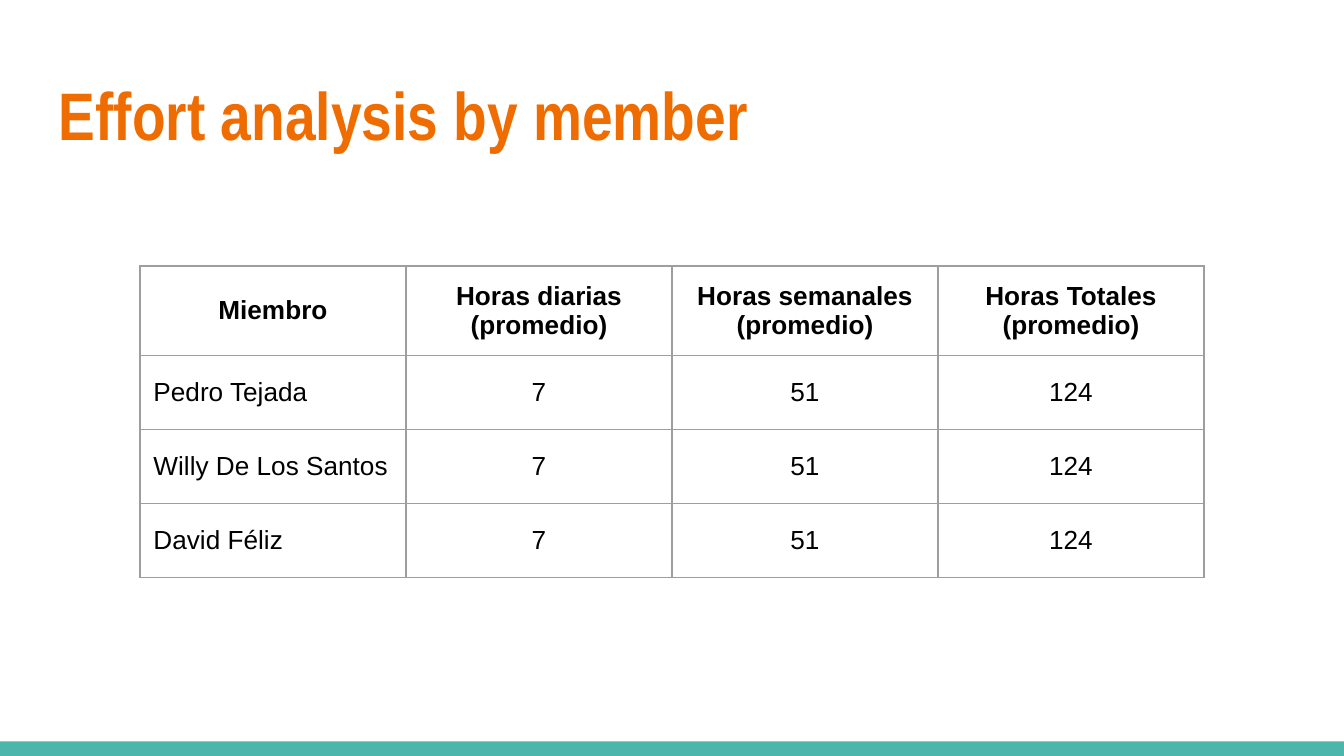
from pptx import Presentation
from pptx.dml.color import RGBColor
from pptx.enum.shapes import MSO_SHAPE
from pptx.enum.text import MSO_ANCHOR, PP_ALIGN
from pptx.oxml import parse_xml
from pptx.oxml.ns import nsdecls
from pptx.util import Pt

TEAL = RGBColor(0x4D, 0xB6, 0xAC)
ORANGE = RGBColor(0xEF, 0x6C, 0x00)
BLACK = RGBColor(0, 0, 0)
GRAY = RGBColor(0x9E, 0x9E, 0x9E)
INSETS = {f"margin_{side}": Pt(7.2) for side in ("left", "right", "top", "bottom")}


def write(tf, text, color, **fmt):
    p = tf.paragraphs[0]
    r = p.add_run()
    r.text = text
    r.font.color.rgb = color
    for name, value in fmt.items():
        setattr(r.font, name, value)
    return p


def add_borders(cell):
    tcPr = cell._tc.get_or_add_tcPr()
    for i, side in enumerate(("lnL", "lnR", "lnT", "lnB")):
        tcPr.insert(i, parse_xml(
            f'<a:{side} {nsdecls("a")} w="{Pt(0.75)}"><a:solidFill>'
            f'<a:srgbClr val="{GRAY}"/></a:solidFill></a:{side}>'))


prs = Presentation()
prs.slide_width, prs.slide_height = Pt(720), Pt(405)
s = prs.slides.add_slide(prs.slide_layouts[6])

bar = s.shapes.add_shape(MSO_SHAPE.RECTANGLE, Pt(0), Pt(397.2), Pt(720), Pt(7.8))
bar.shadow.inherit = False
bar.fill.solid()
bar.fill.fore_color.rgb = TEAL
bar.line.fill.background()

title = s.shapes.add_textbox(Pt(24.5), Pt(32), Pt(671), Pt(55.4))
tf = title.text_frame
for name, value in {**INSETS, "word_wrap": True, "vertical_anchor": MSO_ANCHOR.TOP}.items():
    setattr(tf, name, value)
write(tf, "Effort analysis by member", ORANGE, name="Arial Narrow", size=Pt(36), bold=True)

rows = [
    ("Miembro", "Horas diarias (promedio)", "Horas semanales (promedio)", "Horas Totales (promedio)"),
    ("Pedro Tejada", "7", "51", "124"),
    ("Willy De Los Santos", "7", "51", "124"),
    ("David Féliz", "7", "51", "124"),
]
table = s.shapes.add_table(4, 4, Pt(75), Pt(142.5), Pt(570), Pt(158.4)).table
for row in table.rows:
    row.height = Pt(39.6)
for col in table.columns:
    col.width = Pt(142.5)

for i, row in enumerate(rows):
    for j, text in enumerate(row):
        cell = table.cell(i, j)
        for name, value in {**INSETS, "vertical_anchor": MSO_ANCHOR.MIDDLE}.items():
            setattr(cell, name, value)
        cell.fill.background()
        add_borders(cell)
        p = write(cell.text_frame, text, BLACK, name="Arial", size=Pt(14), bold=i == 0)
        p.alignment = PP_ALIGN.LEFT if i and j == 0 else PP_ALIGN.CENTER

prs.save("out.pptx")
